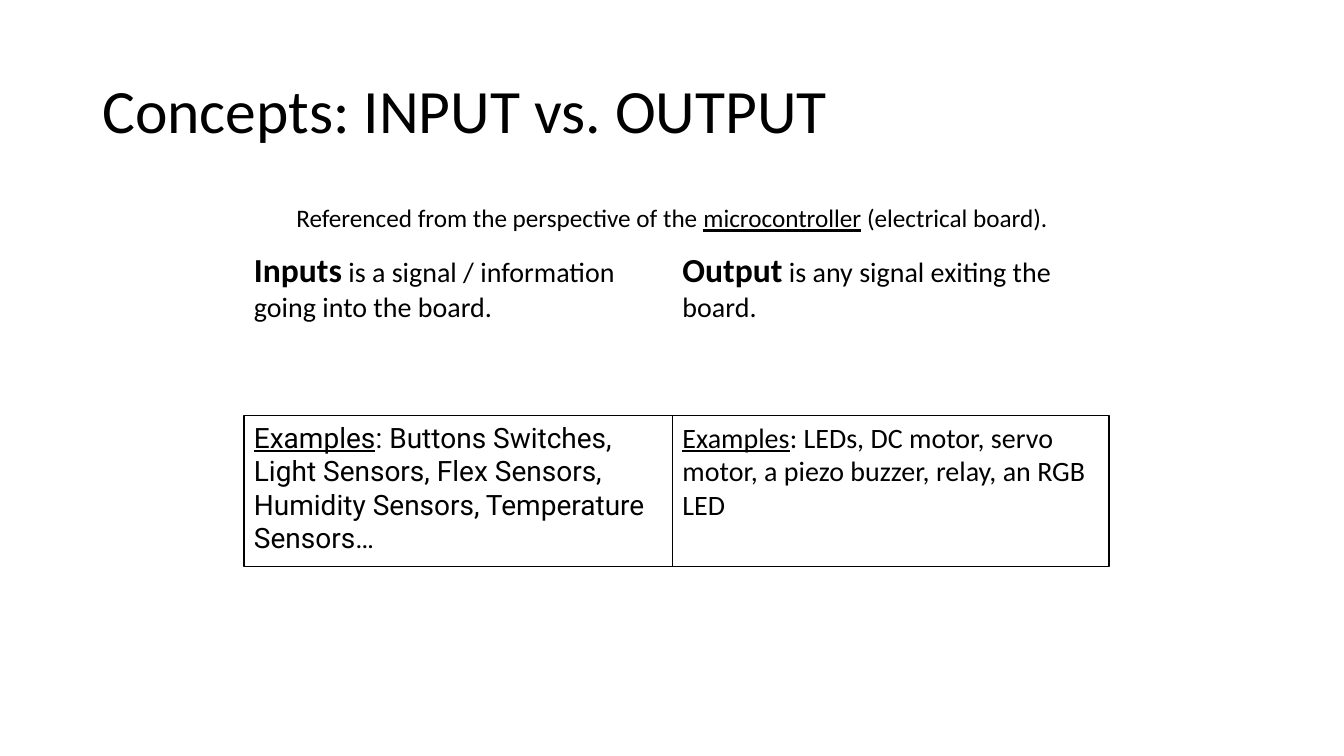
from dataclasses import dataclass

from pptx import Presentation
from pptx.dml.color import RGBColor
from pptx.enum.shapes import MSO_SHAPE
from pptx.enum.text import MSO_ANCHOR, PP_ALIGN
from pptx.util import Cm, Pt


@dataclass(frozen=True)
class Theme:
    ink: RGBColor = RGBColor(0, 0, 0)
    sans: str = "Calibri"
    alt: str = "Roboto"
    title: int = 44
    term: int = 24
    body: int = 20
    note: int = 18
    line: float = 0.75


theme = Theme()


def write(shape, parts, font=theme.sans, before=0, space=1.0,
          align=PP_ALIGN.LEFT, anchor=MSO_ANCHOR.TOP):
    """Fill a shape with one paragraph of (text, size, style) parts."""
    frame = shape.text_frame
    frame.word_wrap = True
    frame.vertical_anchor = anchor
    para = frame.paragraphs[0]
    para.alignment = align
    para.space_before = Pt(before)
    para.line_spacing = space
    for text, size, style in parts:
        run = para.add_run()
        run.text = text
        run.font.name = font
        run.font.size = Pt(size)
        run.font.color.rgb = theme.ink
        run.font.bold = style == "bold"
        run.font.underline = style == "under"


deck = Presentation()
deck.slide_width, deck.slide_height = Cm(33.87), Cm(19.05)
slide = deck.slides.add_slide(deck.slide_layouts[6])
shapes = slide.shapes

title = shapes.add_textbox(Cm(2.33), Cm(1.01), Cm(29.21), Cm(3.68))
write(title, [("Concepts: INPUT vs. OUTPUT", theme.title, "")],
      space=0.9, anchor=MSO_ANCHOR.MIDDLE)

note = shapes.add_textbox(Cm(2.33), Cm(5.07), Cm(29.21), Cm(12.09))
write(note, [("Referenced from the perspective of the ", theme.note, ""),
             ("microcontroller", theme.note, "under"),
             (" (electrical board).", theme.note, "")],
      before=10, space=0.9, align=PP_ALIGN.CENTER)

columns = [
    (10.8, "Inputs", " is a signal / information going into the board.", theme.alt,
     ": Buttons Switches, Light Sensors, Flex Sensors, Humidity Sensors, "
     "Temperature Sensors…"),
    (11, "Output", " is any signal exiting the board.", theme.sans,
     ": LEDs, DC motor, servo motor, a piezo buzzer, relay, an RGB LED"),
]
left, high = 6.15, 3.81
for width, term, meaning, font, samples in columns:
    text = shapes.add_textbox(Cm(left), Cm(6.15), Cm(width), Cm(high))
    write(text, [(term, theme.term, "bold"), (meaning, theme.body, "")], before=7.5)

    box = shapes.add_shape(MSO_SHAPE.RECTANGLE, Cm(left), Cm(10.46), Cm(width), Cm(high))
    box.shadow.inherit = False
    box.fill.background()
    box.line.color.rgb = theme.ink
    box.line.width = Pt(theme.line)
    write(box, [("Examples", theme.body, "under"), (samples, theme.body, "")],
          font=font, before=7.5)
    left += width

deck.save("out.pptx")
